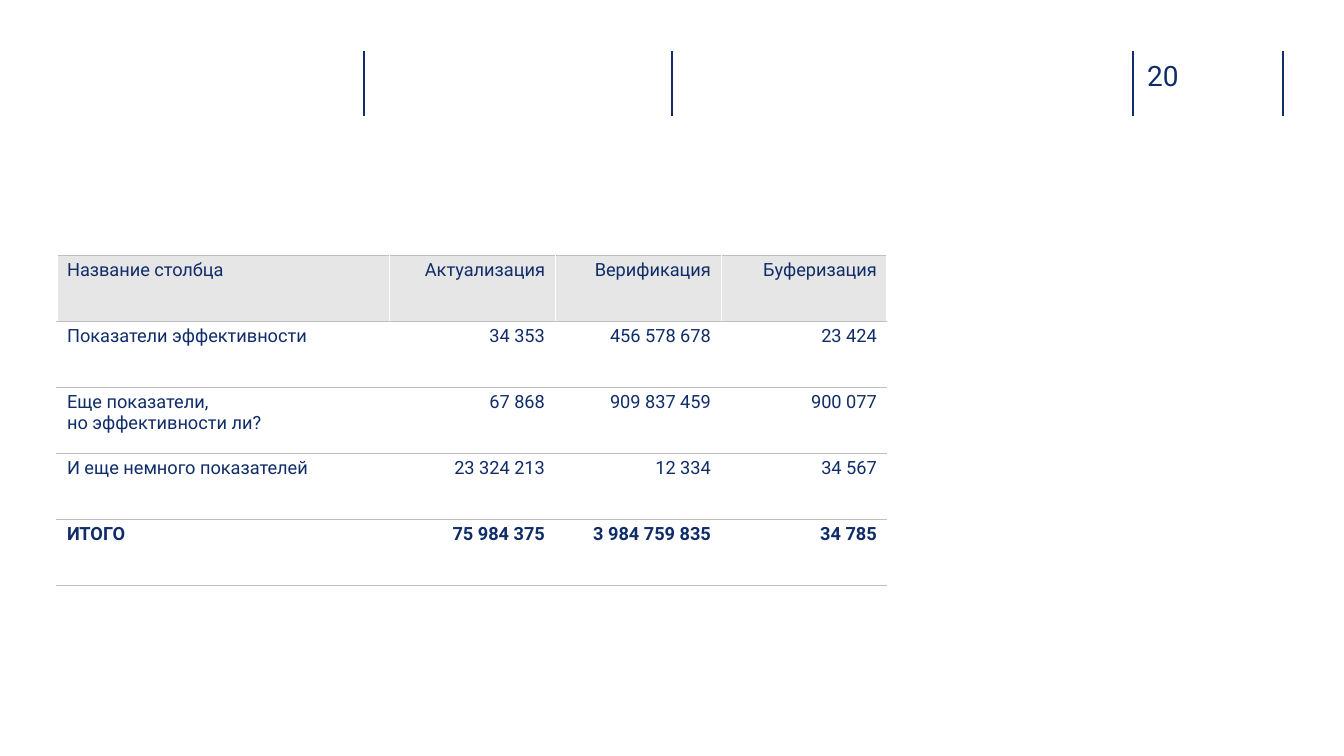
from lxml import etree
from pptx import Presentation
from pptx.dml.color import RGBColor
from pptx.enum.shapes import MSO_CONNECTOR
from pptx.enum.text import PP_ALIGN
from pptx.oxml.ns import qn
from pptx.util import Pt

STRAIGHT = MSO_CONNECTOR.STRAIGHT
LEFT, RIGHT = PP_ALIGN.LEFT, PP_ALIGN.RIGHT

NAVY = RGBColor(0x10, 0x2D, 0x69)
HEADER_GRAY = RGBColor(0xE7, 0xE6, 0xE6)
RULE_GRAY = RGBColor(0xBF, 0xBF, 0xBF)
WHITE = RGBColor(0xFF, 0xFF, 0xFF)
FONT = "Roboto"

PX_PER_INCH = 100.8
SLIDE_WIDTH, SLIDE_HEIGHT = 1344, 756
DIVIDERS = (364, 672, 1133, 1283)
COLUMN_WIDTHS = (332, 166, 166, 166)
ROWS = (
    ("Название столбца", "Актуализация", "Верификация", "Буферизация"),
    ("Показатели эффективности", "34 353", "456 578 678", "23 424"),
    ("Еще показатели, \nно эффективности ли?", "67 868", "909 837 459", "900 077"),
    ("И еще немного показателей", "23 324 213", "12 334", "34 567"),
    ("ИТОГО", "75 984 375", "3 984 759 835", "34 785"),
)


def px(length):
    return round(length * 914400 / PX_PER_INCH)


def write(paragraph, text, size, bold=False, align=LEFT):
    paragraph.alignment = align
    for index, line in enumerate(text.split("\n")):
        if index:
            paragraph.add_line_break()
        run = paragraph.add_run()
        run.text = line
        run.font.name = FONT
        run.font.size = Pt(size)
        run.font.bold = bold
        run.font.color.rgb = NAVY


def set_borders(cell, borders):
    """Borders are (side, color, points), in the order L, R, T, B."""
    properties = cell._tc.get_or_add_tcPr()
    for index, (side, color, points) in enumerate(borders):
        line = etree.Element(qn(f"a:ln{side}"), w=str(Pt(points)))
        fill = etree.SubElement(line, qn("a:solidFill"))
        etree.SubElement(fill, qn("a:srgbClr"), val=str(color))
        properties.insert(index, line)


def add_header(slide, top, height):
    # Vertical dividers
    for x in DIVIDERS:
        divider = slide.shapes.add_connector(
            STRAIGHT, px(x), px(top), px(x), px(top + height))
        divider.line.color.rgb = NAVY
        divider.line.width = Pt(1)
        etree.SubElement(divider._element.spPr, qn("a:effectLst"))

    # Page number, just right of the third divider
    number = slide.shapes.add_textbox(
        px(DIVIDERS[2] + 14), px(top + 7), px(74), px(34))
    frame = number.text_frame
    frame.word_wrap = True
    frame.margin_left = frame.margin_right = 0
    frame.margin_top = frame.margin_bottom = 0
    write(frame.paragraphs[0], "20", 20)


def add_indicator_table(slide, left, top, row_height):
    table = slide.shapes.add_table(
        len(ROWS), len(COLUMN_WIDTHS), px(left), px(top),
        px(sum(COLUMN_WIDTHS)), px(row_height * len(ROWS))).table
    table.first_row = False
    table.horz_banding = False
    for column, width in zip(table.columns, COLUMN_WIDTHS):
        column.width = px(width)

    last_row, last_column = len(ROWS) - 1, len(COLUMN_WIDTHS) - 1
    for r, texts in enumerate(ROWS):
        table.rows[r].height = px(row_height)
        for c, text in enumerate(texts):
            cell = table.cell(r, c)
            if r == 0:
                cell.fill.solid()
                cell.fill.fore_color.rgb = HEADER_GRAY
            else:
                cell.fill.background()
            write(cell.text_frame.paragraphs[0], text, 13,
                  bold=r == last_row, align=RIGHT if c else LEFT)
            borders = [("T", RULE_GRAY, 0.75), ("B", RULE_GRAY, 0.75)]
            if c < last_column:
                borders.insert(0, ("R", WHITE, 0.25))
            if c > 0:
                borders.insert(0, ("L", WHITE, 0.25))
            set_borders(cell, borders)


def main():
    presentation = Presentation()
    presentation.slide_width = px(SLIDE_WIDTH)
    presentation.slide_height = px(SLIDE_HEIGHT)
    slide = presentation.slides.add_slide(presentation.slide_layouts[6])
    add_header(slide, top=51, height=65)
    add_indicator_table(slide, left=57, top=255, row_height=66)
    presentation.save("out.pptx")


if __name__ == "__main__":
    main()
